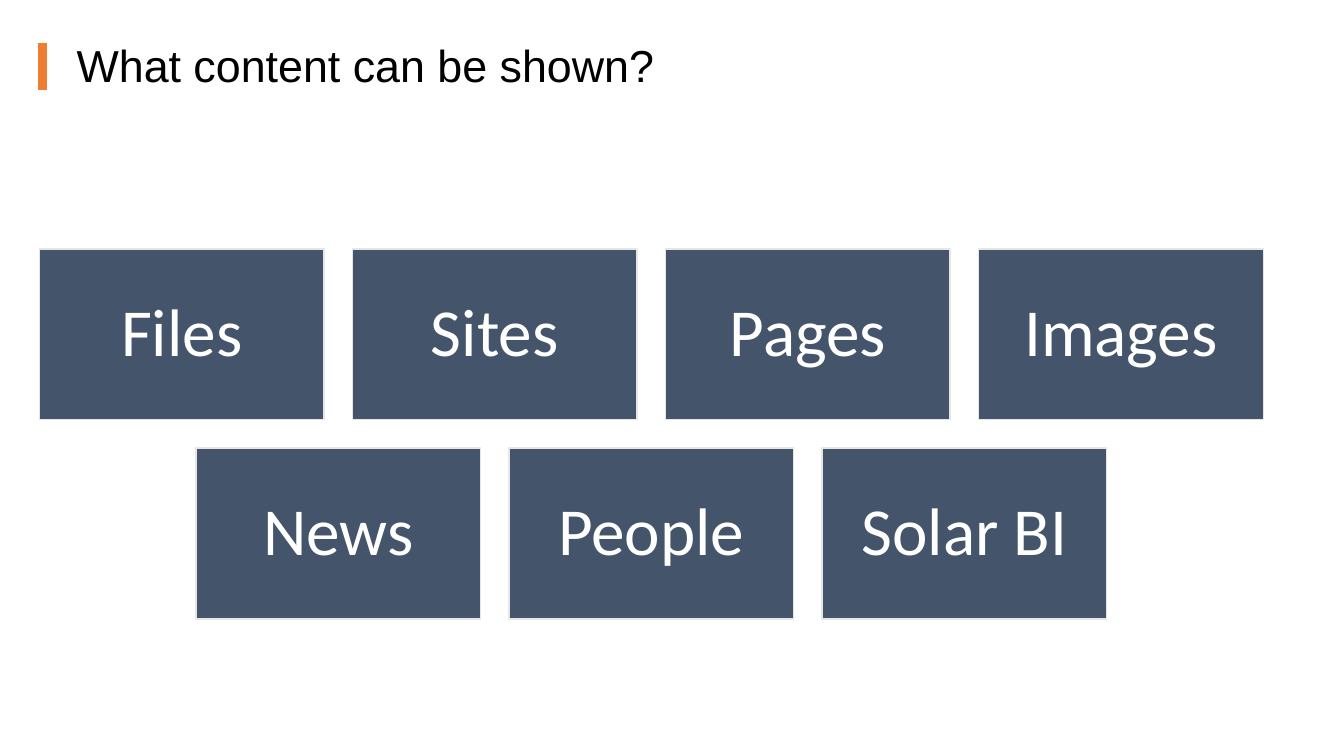
from pptx import Presentation
from pptx.dml.color import RGBColor
from pptx.enum.shapes import MSO_CONNECTOR, MSO_SHAPE
from pptx.enum.text import MSO_ANCHOR, PP_ALIGN
from pptx.oxml.ns import qn
from pptx.util import Pt
from lxml.etree import SubElement


def color(hex_str):
    return RGBColor.from_string(hex_str)


class Deck:
    """Holds the style and the current slide."""
    ACCENT, TILE, EDGE = "ED7D31", "44546A", "E7E6E6"
    DARK, LIGHT = "000000", "FFFFFF"
    TITLE_FONT, BODY_FONT = "Arial", "Calibri"

    def __init__(self):
        self.prs = Presentation()
        self.prs.slide_width, self.prs.slide_height = Pt(960), Pt(540)
        self.s = self.prs.slides.add_slide(self.prs.slide_layouts[5])

    def set_text(self, sp, text, font, size, fill, align):
        tf = sp.text_frame
        tf.word_wrap = True
        tf.vertical_anchor = MSO_ANCHOR.MIDDLE
        tf.text = text
        p = tf.paragraphs[0]
        p.alignment = align
        p.line_spacing = 0.9
        p.font.name, p.font.size = font, Pt(size)
        p.font.color.rgb = color(fill)
        return tf

    def title(self, text, x, y, w, h):
        sp = self.s.shapes.title
        sp.left, sp.top, sp.width, sp.height = Pt(x), Pt(y), Pt(w), Pt(h)
        self.set_text(sp, text, self.TITLE_FONT, 32, self.DARK, PP_ALIGN.LEFT)

    def bar(self, x, top, bottom):
        cx = self.s.shapes.add_connector(
            MSO_CONNECTOR.STRAIGHT, Pt(x), Pt(top), Pt(x), Pt(bottom))
        cx.line.color.rgb = color(self.ACCENT)
        cx.line.width = Pt(6)
        SubElement(cx._element.spPr, qn("a:effectLst"))

    def tile(self, text, x, y, w, h):
        sp = self.s.shapes.add_shape(
            MSO_SHAPE.RECTANGLE, Pt(x), Pt(y), Pt(w), Pt(h))
        sp.shadow.inherit = False
        sp.fill.solid()
        sp.fill.fore_color.rgb = color(self.TILE)
        sp.line.color.rgb = color(self.EDGE)
        sp.line.width = Pt(1)
        tf = self.set_text(sp, text, self.BODY_FONT, 48, self.LIGHT,
                           PP_ALIGN.CENTER)
        tf.margin_left = tf.margin_right = Pt(14.4)
        tf.margin_top = tf.margin_bottom = Pt(14.4)


def main():
    deck = Deck()

    # Title with accent bar
    deck.bar(30.24, 31, 64)
    deck.title("What content can be shown?", 47.5, 26.6, 615, 44)

    # Rows of content tiles, each centred on the same axis
    rows = [["Files", "Sites", "Pages", "Images"],
            ["News", "People", "Solar BI"]]
    w, h, gap = 203.3, 122, 20.33
    center, top = 465.3, 177.8
    for i, row in enumerate(rows):
        left = center - (len(row) * (w + gap) - gap) / 2
        for j, text in enumerate(row):
            deck.tile(text, left + j * (w + gap), top + i * (h + gap), w, h)

    deck.prs.save("out.pptx")


if __name__ == "__main__":
    main()
